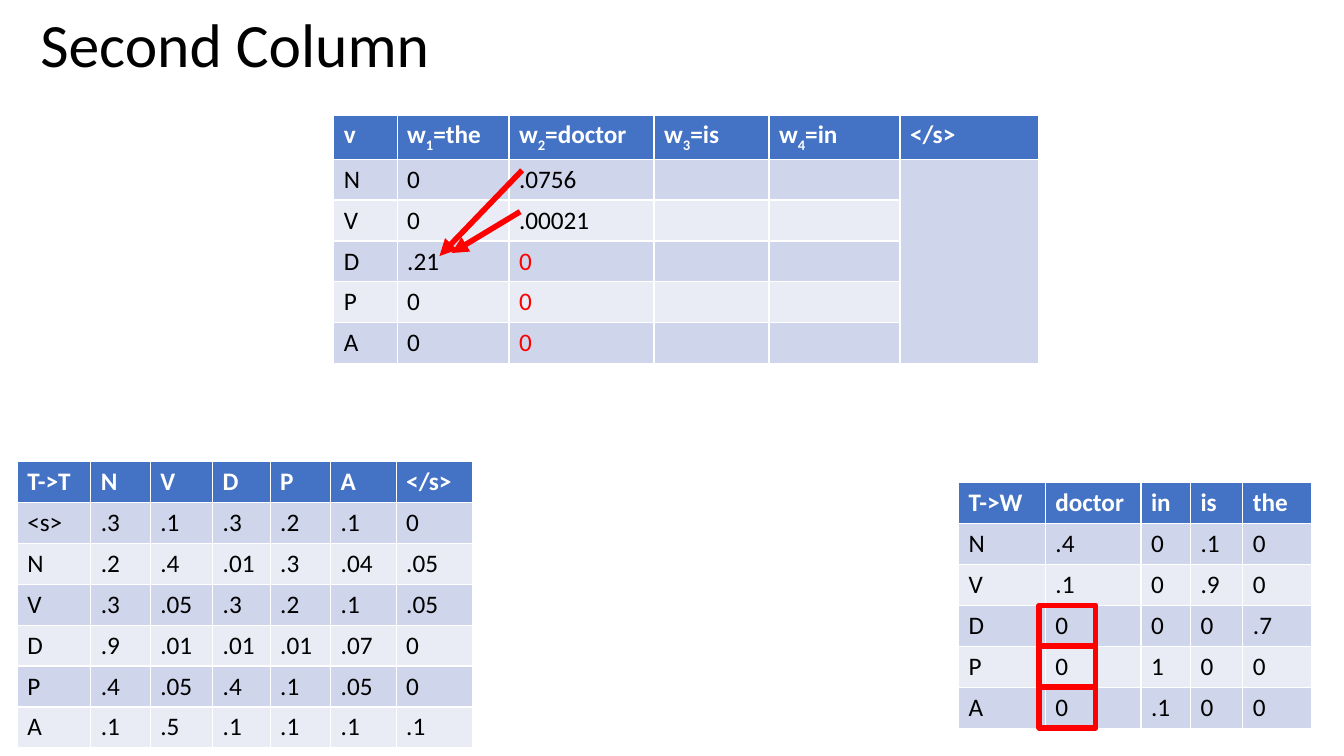
from lxml.etree import SubElement
from pptx import Presentation
from pptx.dml.color import RGBColor
from pptx.enum.shapes import MSO_CONNECTOR as Link, MSO_SHAPE as Shape
from pptx.enum.text import MSO_ANCHOR as Anchor, PP_ALIGN as Align
from pptx.oxml.ns import qn
from pptx.util import Inches, Pt

WHITE = RGBColor(0xFF, 0xFF, 0xFF)
BLACK = RGBColor(0, 0, 0)
RED = RGBColor(0xFF, 0, 0)
BLUE = RGBColor(0x44, 0x72, 0xC4)
BANDS = RGBColor(0xE9, 0xEB, 0xF5), RGBColor(0xCF, 0xD5, 0xEA)

WIDE, HIGH = Inches(13.333), Inches(7.5)
ROW = 5.4  # height of a table row, in percent of the slide

# Trellis: "|" switches subscript on and off
TRELLIS = [
    ["v", "w|1|=the", "w|2|=doctor", "w|3|=is", "w|4|=in", "</s>"],
    ["N", "0", ".0756", "", "", ""],
    ["V", "0", ".00021", "", "", ""],
    ["D", ".21", "0", "", "", ""],
    ["P", "0", "0", "", "", ""],
    ["A", "0", "0", "", "", ""],
]
# Tag to word
EMIT = """T->W doctor in is the
N .4 0 .1 0
V .1 0 .9 0
D 0 0 0 .7
P 0 1 0 0
A 0 .1 0 0"""
# Tag to tag
TRANS = """T->T N V D P A </s>
<s> .3 .1 .3 .2 .1 0
N .2 .4 .01 .3 .04 .05
V .3 .05 .3 .2 .1 .05
D .9 .01 .01 .01 .07 0
P .4 .05 .4 .1 .05 0
A .1 .5 .1 .1 .1 .1"""


def across(share):
    """Percent of the slide's width."""
    return round(WIDE * share / 100)


def down(share):
    """Percent of the slide's height."""
    return round(HIGH * share / 100)


def split(block):
    return [line.split() for line in block.splitlines()]


def write(frame, text, size=18, color=BLACK, bold=False, space=None):
    para = frame.paragraphs[0]
    para.alignment = Align.LEFT
    para.line_spacing = space
    for i, part in enumerate(text.split("|")):
        run = para.add_run()
        run.text = part
        font = run.font
        font.name, font.size, font.bold = "Calibri", Pt(size), bold
        font.color.rgb = color
        if i % 2:
            font._element.set("baseline", "-25000")


def add_grid(slide, data, left, top, cols, reds=()):
    frame = slide.shapes.add_table(
        len(data), len(cols), across(left), down(top),
        across(sum(cols)), down(ROW * len(data)))
    table = frame.table
    for col, share in zip(table.columns, cols):
        col.width = across(share)
    for r, line in enumerate(data):
        table.rows[r].height = down(ROW)
        for c, text in enumerate(line):
            cell = table.cell(r, c)
            cell.fill.solid()
            cell.fill.fore_color.rgb = BANDS[r % 2] if r else BLUE
            if text:
                color = RED if (r, c) in reds else BLACK
                write(cell.text_frame, text, bold=r == 0,
                      color=color if r else WHITE)
    return table


def add_arrow(slide, x1, y1, x2, y2):
    arrow = slide.shapes.add_connector(
        Link.STRAIGHT, across(x1), down(y1), across(x2), down(y2))
    arrow.line.color.rgb = RED
    arrow.line.width = Pt(4)
    SubElement(arrow.line._get_or_add_ln(), qn("a:tailEnd"), type="triangle")
    SubElement(arrow._element.spPr, qn("a:effectLst"))


def add_box(slide, left, top, width, height):
    box = slide.shapes.add_shape(
        Shape.RECTANGLE, across(left), down(top), across(width), down(height))
    box.shadow.inherit = False
    box.fill.background()
    box.line.color.rgb = RED
    box.line.width = Pt(4)


def add_title(slide, text):
    title = slide.shapes.title
    title.left, title.top = across(2.25), down(-3.33)
    title.width, title.height = across(86.25), down(19.33)
    title.text_frame.vertical_anchor = Anchor.MIDDLE
    write(title.text_frame, text, size=44, space=0.9)


def main():
    deck = Presentation()
    deck.slide_width, deck.slide_height = WIDE, HIGH
    slide = deck.slides.add_slide(deck.slide_layouts[5])
    add_title(slide, "Second Column")

    # Trellis, its last column merged below the header
    trellis = add_grid(slide, TRELLIS, 24.83, 15.2,
                       [4.72, 8.32, 10.8, 8.55, 9.75, 10.28],
                       reds=[(3, 2), (4, 2), (5, 2)])
    trellis.cell(1, 5).merge(trellis.cell(5, 5))

    # Probability tables
    top = 63.87
    add_grid(slide, split(EMIT), 71.33, top, [6.45, 7.12, 3.68, 3.9, 5.1])
    add_grid(slide, split(TRANS), 1.28, 61.07,
             [5.48, 4.42, 4.65, 4.28, 4.5, 4.88, 5.7])

    # Back pointers
    add_arrow(slide, 38.7, 28, 33.6, 33.47)
    add_arrow(slide, 38.85, 22.53, 32.7, 33.87)

    # Frames round the zeros of "doctor"
    for row in (3, 4, 5):
        add_box(slide, 77.33, top + row * ROW, 4.2, ROW)

    deck.save("out.pptx")


if __name__ == "__main__":
    main()
